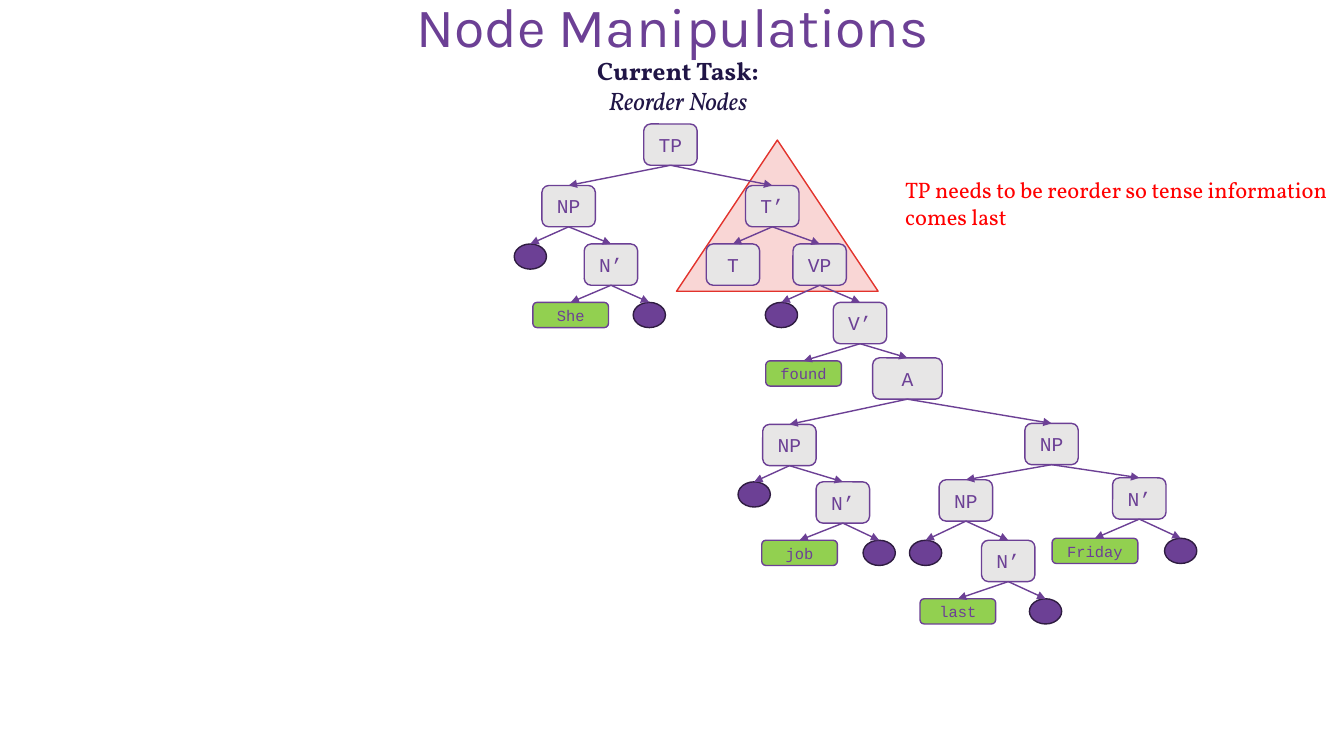
from dataclasses import dataclass

from pptx import Presentation
from pptx.dml.color import RGBColor
from pptx.enum import shapes, text
from pptx.oxml import ns, xmlchemy
from pptx.util import Inches, Pt

PURPLE = RGBColor(0x6C, 0x40, 0x95)
DARK_PURPLE = RGBColor(0x2F, 0x1C, 0x41)
NAVY = RGBColor(0x20, 0x15, 0x46)
GREY = RGBColor(0xE7, 0xE6, 0xE6)
GREEN = RGBColor(0x92, 0xD0, 0x50)
PINK = RGBColor(0xF9, 0xD6, 0xD5)
CRIMSON = RGBColor(0xE2, 0x32, 0x2B)
RED = RGBColor(0xFF, 0x00, 0x00)

SHAPE = shapes.MSO_SHAPE
CENTER = text.PP_ALIGN.CENTER


@dataclass
class Look:
    outline: SHAPE
    width: float
    height: float
    fill: RGBColor
    line: RGBColor
    size: int


PHRASE = Look(SHAPE.ROUNDED_RECTANGLE, 0.53, 0.41, GREY, PURPLE, 14)
ADJUNCT = Look(SHAPE.ROUNDED_RECTANGLE, 0.69, 0.41, GREY, PURPLE, 14)
WORD = Look(SHAPE.ROUNDED_RECTANGLE, 0.75, 0.25, GREEN, PURPLE, 11)
LONG_WORD = Look(SHAPE.ROUNDED_RECTANGLE, 0.85, 0.25, GREEN, PURPLE, 11)
EMPTY = Look(SHAPE.OVAL, 0.32, 0.25, PURPLE, DARK_PURPLE, 11)


def node(look, label, center, top, *children):
    return look, label, center, top, children


def empty(center, top):
    return node(EMPTY, "", center, top)


SUBJECT = node(
    PHRASE, "NP", 5.64, 1.84,
    empty(5.26, 2.42),
    node(PHRASE, "N’", 6.06, 2.42,
         node(WORD, "She", 5.66, 3), empty(6.44, 3)))

OBJECT = node(
    PHRASE, "NP", 7.83, 4.21,
    empty(7.48, 4.78),
    node(PHRASE, "N’", 8.36, 4.78,
         node(WORD, "job", 7.93, 5.36), empty(8.72, 5.36)))

TIME = node(
    PHRASE, "NP", 10.43, 4.2,
    node(PHRASE, "NP", 9.58, 4.76,
         empty(9.18, 5.36),
         node(PHRASE, "N’", 10, 5.36,
              node(WORD, "last", 9.5, 5.94), empty(10.37, 5.94))),
    node(PHRASE, "N’", 11.3, 4.74,
         node(LONG_WORD, "Friday", 10.86, 5.34), empty(11.71, 5.34)))

VERB_PHRASE = node(
    PHRASE, "VP", 8.13, 2.42,
    empty(7.75, 3),
    node(PHRASE, "V’", 8.53, 3,
         node(WORD, "found", 7.97, 3.58),
         node(ADJUNCT, "A", 9, 3.55, OBJECT, TIME)))

SENTENCE = node(
    PHRASE, "TP", 6.65, 1.23,
    SUBJECT,
    node(PHRASE, "T’", 7.66, 1.84,
         node(PHRASE, "T", 7.27, 2.42), VERB_PHRASE))


def style(paragraph, font_name, size, color, bold=False, italic=False):
    for run in paragraph.runs:
        font = run.font
        font.name = font_name
        font.size = Pt(size)
        font.color.rgb = color
        font.bold = bold
        font.italic = italic


def add_filled(slide, outline, left, top, width, height, fill, line):
    filled = slide.shapes.add_shape(
        outline, Inches(left), Inches(top), Inches(width), Inches(height))
    filled.shadow.inherit = False
    filled.fill.solid()
    filled.fill.fore_color.rgb = fill
    filled.line.color.rgb = line
    filled.line.width = Pt(1)
    return filled


def add_branch(slide, parent, child):
    branch = slide.shapes.add_connector(shapes.MSO_CONNECTOR.STRAIGHT, 0, 0, 0, 0)
    branch.begin_connect(parent, 2)
    branch.end_connect(child, 0)
    if child.auto_shape_type == SHAPE.OVAL:
        branch.end_x, branch.end_y = child.left + child.width // 2, child.top
    branch.line.color.rgb = PURPLE
    branch.line.width = Pt(1)
    properties = branch.line._get_or_add_ln()
    arrowhead = xmlchemy.OxmlElement("a:tailEnd")
    arrowhead.set("type", "triangle")
    properties.append(arrowhead)
    branch._element.find(ns.qn("p:spPr")).append(xmlchemy.OxmlElement("a:effectLst"))


def add_tree(slide, root):
    look, label, center, top, children = root
    box = add_filled(slide, look.outline, center - look.width / 2, top,
                     look.width, look.height, look.fill, look.line)
    if label:
        frame = box.text_frame
        frame.margin_left = frame.margin_right = 0
        frame.margin_top = frame.margin_bottom = 0
        frame.vertical_anchor = text.MSO_ANCHOR.MIDDLE
        frame.text = label
        frame.paragraphs[0].alignment = CENTER
        style(frame.paragraphs[0], "Courier New", look.size, PURPLE)
    for child in children:
        add_branch(slide, box, add_tree(slide, child))
    return box


def add_title(slide, wording):
    title = slide.shapes.title
    title.left, title.top = Inches(0.92), Inches(0.04)
    title.width, title.height = Inches(11.5), Inches(0.51)
    frame = title.text_frame
    frame.text = wording
    frame.auto_size = text.MSO_AUTO_SIZE.NONE
    frame.vertical_anchor = text.MSO_ANCHOR.MIDDLE
    heading = frame.paragraphs[0]
    heading.alignment = CENTER
    heading.line_spacing = 0.9
    style(heading, "Karla", 39.6, PURPLE)


def add_text(slide, left, top, width, height, wording):
    caption = slide.shapes.add_textbox(
        Inches(left), Inches(top), Inches(width), Inches(height))
    frame = caption.text_frame
    frame.word_wrap = True
    frame.auto_size = text.MSO_AUTO_SIZE.SHAPE_TO_FIT_TEXT
    frame.text = wording
    return frame.paragraphs


def main():
    deck = Presentation()
    deck.slide_width, deck.slide_height = Inches(13.33), Inches(7.5)
    slide = deck.slides.add_slide(deck.slide_layouts[5])

    add_title(slide, "Node Manipulations")
    add_filled(slide, SHAPE.ISOSCELES_TRIANGLE, 6.71, 1.39, 2, 1.5, PINK, CRIMSON)
    add_tree(slide, SENTENCE)

    remark, = add_text(slide, 8.88, 1.7, 4.45, 0.64,
                       "TP needs to be reorder so tense information comes last")
    style(remark, "Vollkorn", 16, RED)

    task, action = add_text(slide, 4.16, 0.5, 5.13, 0.71,
                            "Current Task:\nReorder Nodes")
    task.alignment = action.alignment = CENTER
    style(task, "Vollkorn", 18, NAVY, bold=True)
    style(action, "Vollkorn", 18, NAVY, italic=True)

    deck.save("out.pptx")


if __name__ == "__main__":
    main()
